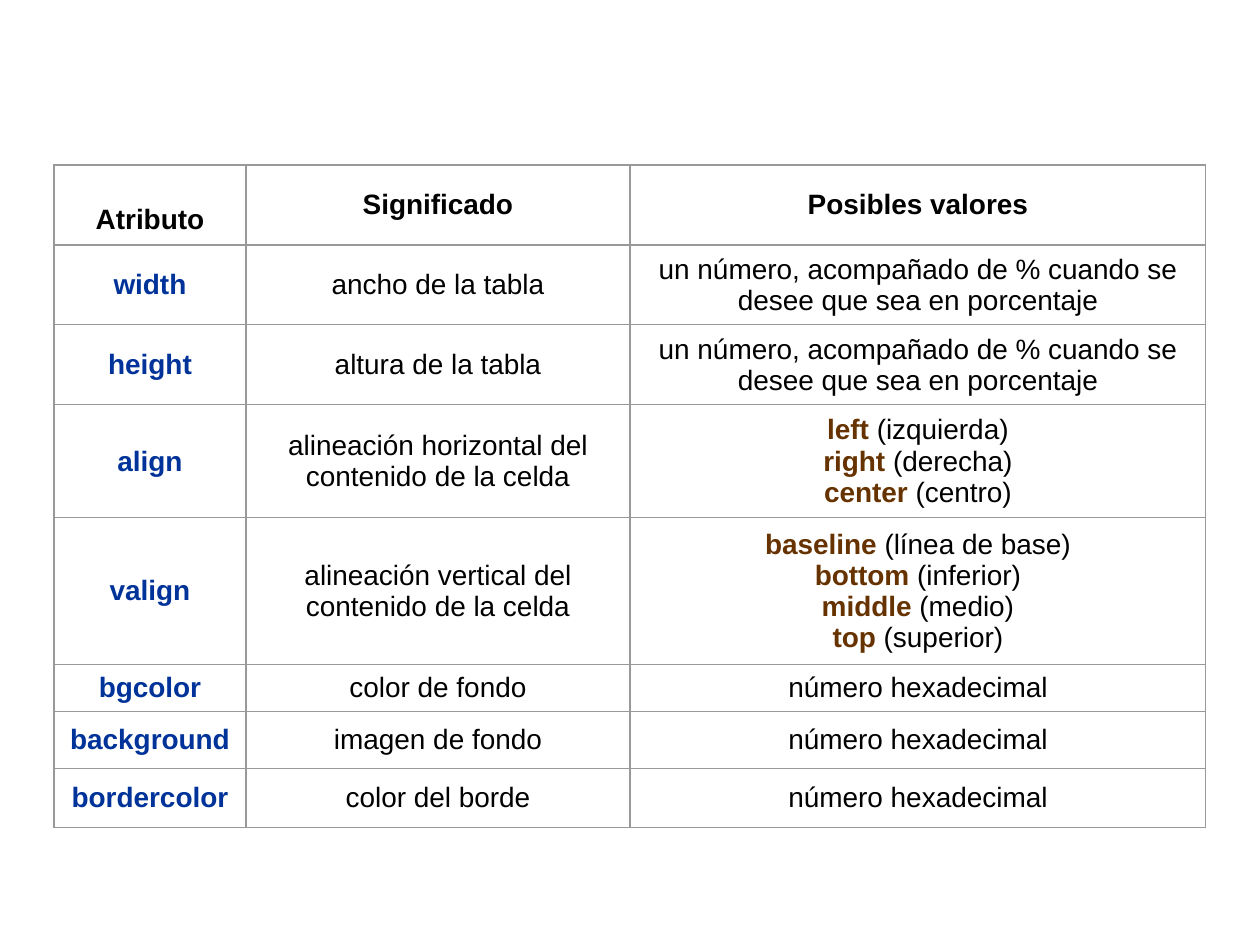
from lxml import etree
from pptx import Presentation
from pptx import util as u
from pptx.dml.color import RGBColor
from pptx.enum import text
from pptx.oxml import ns

PX = u.Inches(1) // 126  # EMU in one px
BLACK = RGBColor(0x00, 0x00, 0x00)
BLUE = RGBColor(0x00, 0x33, 0x99)
BROWN = RGBColor(0x66, 0x33, 0x00)
GREY = RGBColor(0x99, 0x99, 0x99)

COLUMN_WIDTHS = [192, 384, 576]
ROW_HEIGHTS = [80, 80, 80, 113, 147, 47, 57, 59]
HEADER_DROP = 37  # top margin that lowers the first heading by half a line

HEADER = ["Atributo", "Significado", "Posibles valores"]
SIZE_VALUES = "un número, acompañado de % cuando se desee que sea en porcentaje"
HEX_VALUES = "número hexadecimal"
# A list of values holds (keyword, explanation) pairs, one per line.
ATTRIBUTES = [
    ("width", "ancho de la tabla", SIZE_VALUES),
    ("height", "altura de la tabla", SIZE_VALUES),
    ("align", "alineación horizontal del contenido de la celda",
     [("left", "izquierda"), ("right", "derecha"), ("center", "centro")]),
    ("valign", "alineación vertical del contenido de la celda",
     [("baseline", "línea de base"), ("bottom", "inferior"),
      ("middle", "medio"), ("top", "superior")]),
    ("bgcolor", "color de fondo", HEX_VALUES),
    ("background", "imagen de fondo", HEX_VALUES),
    ("bordercolor", "color del borde", HEX_VALUES),
]


def add_span(para, words, color=BLACK, bold=False):
    span = para.add_run()
    span.text = words
    span.font.name = "Arial"
    span.font.size = u.Pt(16)
    span.font.bold = bold
    span.font.color.rgb = color


def draw_borders(cell):
    properties = cell._tc.get_or_add_tcPr()
    for side in ("a:lnL", "a:lnR", "a:lnT", "a:lnB"):
        line = etree.SubElement(properties, ns.qn(side), w=str(u.Pt(0.75)))
        fill = etree.SubElement(line, ns.qn("a:solidFill"))
        etree.SubElement(fill, ns.qn("a:srgbClr"), val=str(GREY))


def fill_cell(cell, content, color=BLACK, bold=False):
    draw_borders(cell)
    cell.fill.background()
    cell.vertical_anchor = text.MSO_ANCHOR.MIDDLE
    para = cell.text_frame.paragraphs[0]
    para.alignment = text.PP_ALIGN.CENTER
    if isinstance(content, str):
        add_span(para, content, color, bold)
        return
    for index, (keyword, meaning) in enumerate(content):
        if index:
            para.add_line_break()
        add_span(para, keyword, BROWN, True)
        add_span(para, f" ({meaning})")


def add_attribute_table(page, left, top):
    size = (sum(COLUMN_WIDTHS), sum(ROW_HEIGHTS))
    table = page.shapes.add_table(
        len(ROW_HEIGHTS), len(COLUMN_WIDTHS),
        *(length * PX for length in (left, top, *size))).table
    table.first_row = table.horz_banding = False
    for column, width in zip(table.columns, COLUMN_WIDTHS):
        column.width = width * PX
    for row, height in zip(table.rows, ROW_HEIGHTS):
        row.height = height * PX

    # Headings
    for column, heading in enumerate(HEADER):
        fill_cell(table.cell(0, column), heading, bold=True)
    table.cell(0, 0).margin_top = HEADER_DROP * PX

    # One row for each attribute
    for row, (name, meaning, values) in enumerate(ATTRIBUTES, start=1):
        fill_cell(table.cell(row, 0), name, BLUE, True)
        fill_cell(table.cell(row, 1), meaning)
        fill_cell(table.cell(row, 2), values)


def main():
    deck = Presentation()
    deck.slide_width, deck.slide_height = 1260 * PX, 945 * PX
    page = deck.slides.add_slide(deck.slide_layouts[6])
    add_attribute_table(page, left=54, top=165)
    deck.save("out.pptx")


if __name__ == "__main__":
    main()
